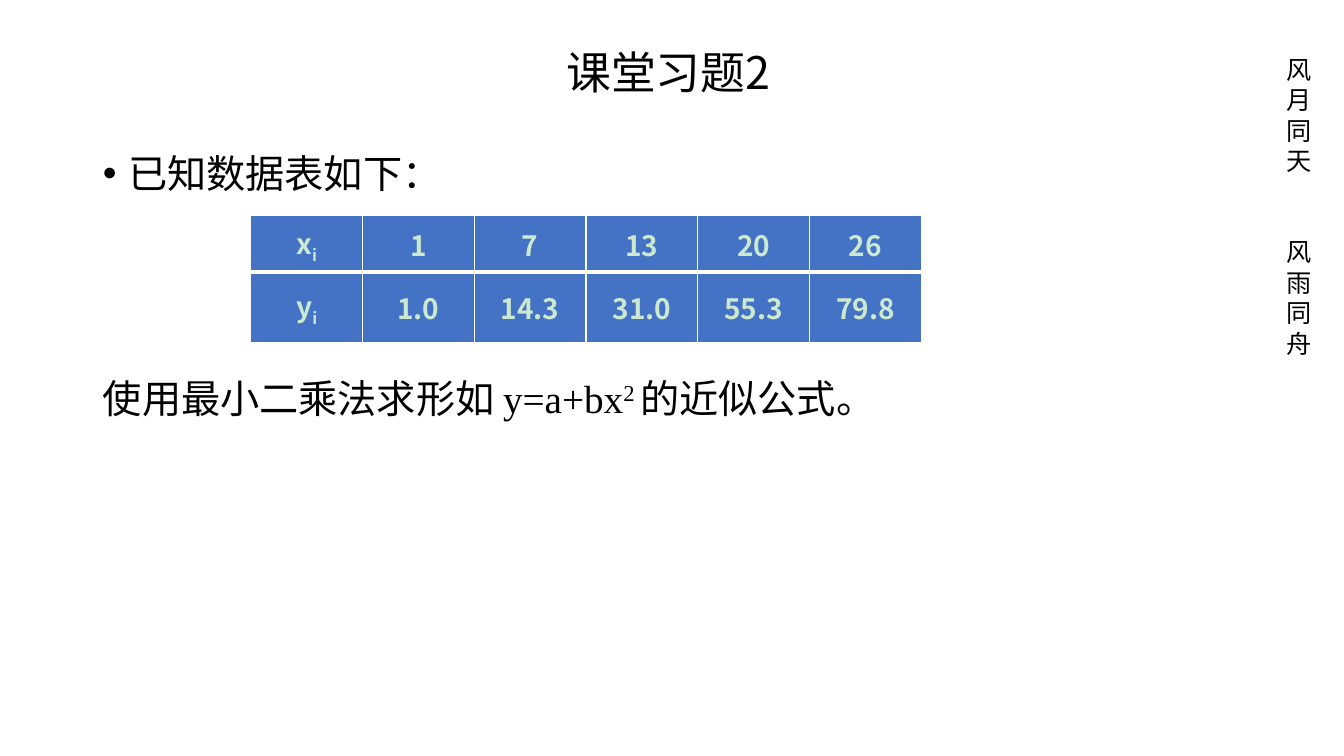
from dataclasses import dataclass
from typing import Optional

from lxml.etree import SubElement
from pptx import Presentation
from pptx.dml.color import RGBColor
from pptx.enum.text import MSO_ANCHOR as Anchor, MSO_AUTO_SIZE as AutoSize, PP_ALIGN as Align
from pptx.oxml.ns import qn
from pptx.util import Cm, Pt


@dataclass(frozen=True)
class Theme:
    paper: str = "FFFFFF"
    ink: str = "000000"
    cell_fill: str = "4472C4"
    cell_text: str = "CCE8CF"
    rule: str = "FFFFFF"
    cjk_font: str = "Noto Sans CJK SC"
    formula_font: str = "Times New Roman"
    title_size: int = 32
    body_size: int = 28
    cell_size: int = 20
    motto_size: int = 18


@dataclass(frozen=True)
class Piece:
    text: str
    font: str = "Noto Sans CJK SC"
    baseline: int = 0


@dataclass(frozen=True)
class Line:
    pieces: tuple[Piece, ...]
    bullet: Optional[str] = None
    before: float = 0


@dataclass(frozen=True)
class Box:
    left: float
    top: float
    width: float
    height: float

    def lengths(self) -> tuple[Cm, Cm, Cm, Cm]:
        return Cm(self.left), Cm(self.top), Cm(self.width), Cm(self.height)


THEME = Theme()
FORMULA = THEME.formula_font
TITLE_BOX = Box(2.24, 0.99, 29.21, 1.78)
BODY_BOX = Box(2.34, 3.18, 29.21, 13.97)
TABLE_BOX = Box(6.32, 5.44, 16.9, 3.2)
MOTTO_BOX = Box(32.16, 1.24, 1.14, 7.95)
ROW_HEIGHTS = (1.41, 1.79)

MOTTO = (
    Line((Piece("风月同天"),)),
    Line((Piece("风雨同舟"),), before=43.4),
)
EXERCISE = (
    Line((Piece("已知数据表如下："),), bullet="•"),
    Line((
        Piece("使用最小二乘法求形"),
        Piece("如 y=a+bx", FORMULA),
        Piece("2 ", FORMULA, 30),
        Piece("的近", FORMULA),
        Piece("似公式。"),
    ), before=114),
)
SAMPLES = (
    ("x", ("1", "7", "13", "20", "26")),
    ("y", ("1.0", "14.3", "31.0", "55.3", "79.8")),
)


def add_piece(paragraph, piece: Piece, size: int, color: str, bold: bool = False) -> None:
    run = paragraph.add_run()
    run.text = piece.text
    run.font.size = Pt(size)
    run.font.bold = bold
    run.font.color.rgb = RGBColor.from_string(color)
    run.font.name = piece.font
    properties = run.font._element
    SubElement(properties, qn("a:ea")).set("typeface", THEME.cjk_font)
    if piece.baseline:
        properties.set("baseline", str(piece.baseline * 1000))


def set_bullet(paragraph, bullet: Optional[str]) -> None:
    properties = paragraph._p.get_or_add_pPr()
    indent = Cm(0.64) if bullet else 0
    properties.set("marL", str(indent))
    properties.set("indent", str(-indent))
    if bullet:
        SubElement(properties, qn("a:buFont")).set("typeface", "Arial")
        SubElement(properties, qn("a:buChar")).set("char", bullet)
    else:
        SubElement(properties, qn("a:buNone"))


def write_lines(frame, lines: tuple[Line, ...], size: int, pitch: float) -> None:
    frame.word_wrap = True
    frame.auto_size = AutoSize.NONE
    for index, line in enumerate(lines):
        paragraph = frame.add_paragraph() if index else frame.paragraphs[0]
        set_bullet(paragraph, line.bullet)
        paragraph.alignment = Align.LEFT
        paragraph.line_spacing = Pt(pitch)
        paragraph.space_before = Pt(line.before)
        for piece in line.pieces:
            add_piece(paragraph, piece, size, THEME.ink)


def place(shape, box: Box) -> None:
    shape.left, shape.top, shape.width, shape.height = box.lengths()


def write_title(title) -> None:
    place(title, TITLE_BOX)
    frame = title.text_frame
    frame.auto_size = AutoSize.NONE
    frame.vertical_anchor = Anchor.MIDDLE
    heading = frame.paragraphs[0]
    heading.alignment = Align.CENTER
    heading.line_spacing = 0.9
    add_piece(heading, Piece("课堂习题2"), THEME.title_size, THEME.ink)


def rule_cell(cell, top: int, bottom: int) -> None:
    properties = cell._tc.get_or_add_tcPr()
    for side, width in (("L", 1), ("R", 1), ("T", top), ("B", bottom)):
        edge = SubElement(properties, qn(f"a:ln{side}"))
        edge.set("w", str(Pt(width)))
        fill = SubElement(edge, qn("a:solidFill"))
        SubElement(fill, qn("a:srgbClr")).set("val", THEME.rule)


def write_cell(cell, pieces: tuple[Piece, ...], is_header: bool) -> None:
    rule_cell(cell, top=1 if is_header else 3, bottom=3 if is_header else 1)
    cell.fill.solid()
    cell.fill.fore_color.rgb = RGBColor.from_string(THEME.cell_fill)
    cell.vertical_anchor = Anchor.MIDDLE
    cell.margin_left = cell.margin_right = Cm(0.18)
    cell.margin_top = cell.margin_bottom = 0
    paragraph = cell.text_frame.paragraphs[0]
    paragraph.alignment = Align.CENTER
    for piece in pieces:
        add_piece(paragraph, piece, THEME.cell_size, THEME.cell_text, bold=True)


def add_samples(slide) -> None:
    column_count = 1 + len(SAMPLES[0][1])
    table = slide.shapes.add_table(len(SAMPLES), column_count, *TABLE_BOX.lengths()).table
    table.horz_banding = False
    for column in table.columns:
        column.width = Cm(TABLE_BOX.width / column_count)
    for row, (variable, values) in enumerate(SAMPLES):
        table.rows[row].height = Cm(ROW_HEIGHTS[row])
        label = (Piece(variable), Piece("i", baseline=-25))
        for column, pieces in enumerate((label, *((Piece(value),) for value in values))):
            write_cell(table.cell(row, column), pieces, is_header=row == 0)


def main() -> None:
    deck = Presentation()
    deck.slide_width, deck.slide_height = Cm(33.87), Cm(19.05)
    slide = deck.slides.add_slide(deck.slide_layouts[1])
    slide.background.fill.solid()
    slide.background.fill.fore_color.rgb = RGBColor.from_string(THEME.paper)

    motto = slide.shapes.add_textbox(*MOTTO_BOX.lengths())
    write_lines(motto.text_frame, MOTTO, THEME.motto_size, pitch=21.7)
    write_title(slide.shapes.title)
    exercise = slide.placeholders[1]
    place(exercise, BODY_BOX)
    write_lines(exercise.text_frame, EXERCISE, THEME.body_size, pitch=46.5)
    add_samples(slide)
    deck.save("out.pptx")


if __name__ == "__main__":
    main()
